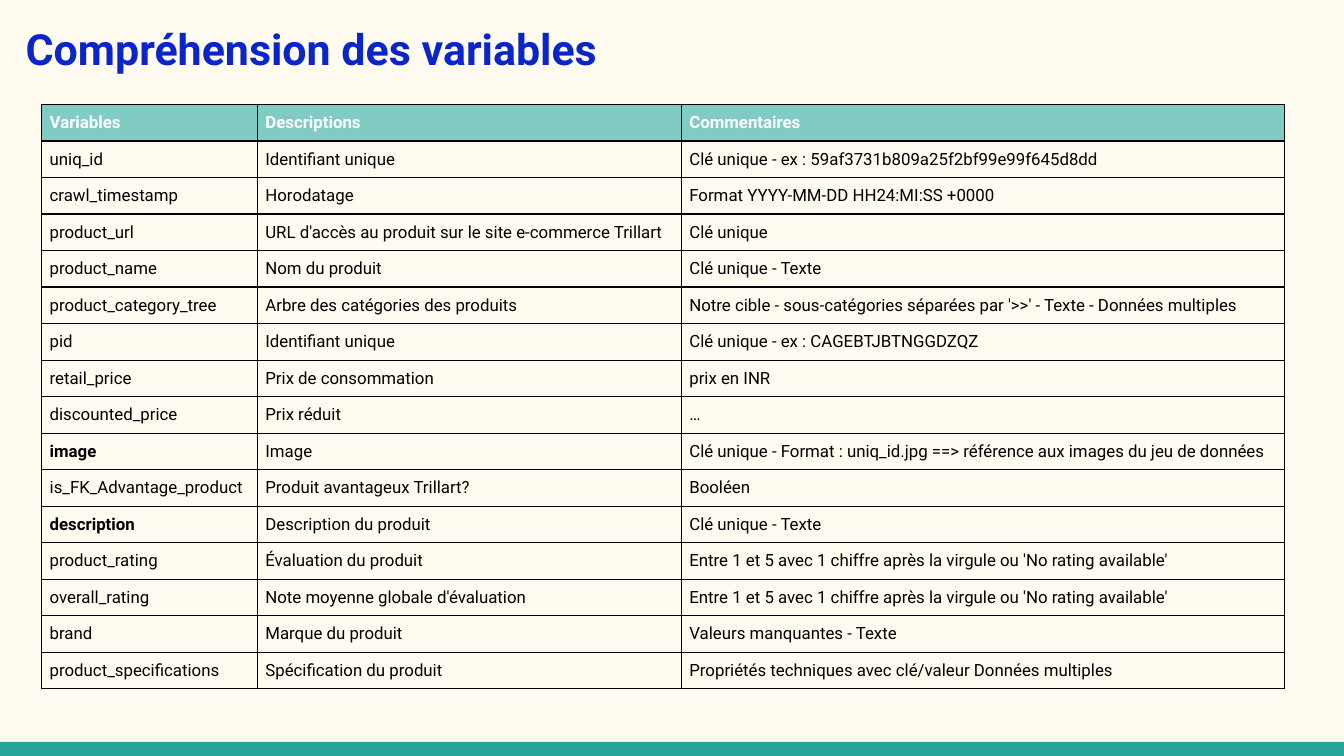
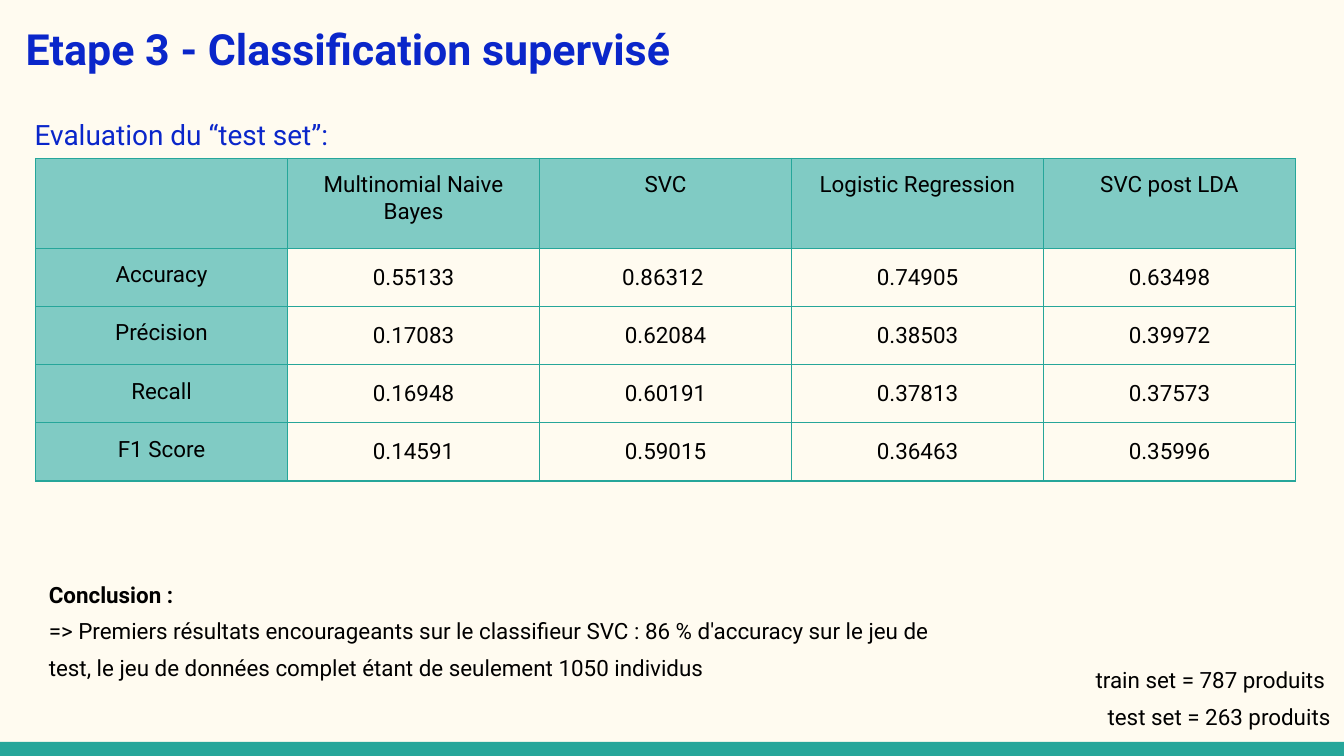
"""Build two slides on the variables and the classification results of a product data set."""
from lxml import etree
from pptx import Presentation
from pptx.dml.color import RGBColor
from pptx.enum.shapes import MSO_SHAPE
from pptx.enum.text import MSO_ANCHOR, MSO_AUTO_SIZE, PP_ALIGN
from pptx.oxml.ns import qn
from pptx.util import Emu, Pt

RECTANGLE = MSO_SHAPE.RECTANGLE
TOP, MIDDLE, BOTTOM = MSO_ANCHOR.TOP, MSO_ANCHOR.MIDDLE, MSO_ANCHOR.BOTTOM
LEFT, CENTER, RIGHT = PP_ALIGN.LEFT, PP_ALIGN.CENTER, PP_ALIGN.RIGHT
FIXED, GROW = MSO_AUTO_SIZE.NONE, MSO_AUTO_SIZE.SHAPE_TO_FIT_TEXT

SCALE = 4572
WIDTH, HEIGHT = 2000, 1125
BAND = 21
FONT = "Roboto"
CREAM, TEAL, PALE_TEAL = "FFFBF0", "26A69A", "80CBC4"
BLUE, BLACK, WHITE = "0A26CA", "000000", "FFFFFF"

VARIABLES = [
    ("Variables", "Descriptions", "Commentaires"),
    ("uniq_id", "Identifiant unique", "Clé unique - ex : 59af3731b809a25f2bf99e99f645d8dd"),
    ("crawl_timestamp", "Horodatage", "Format YYYY-MM-DD HH24:MI:SS +0000"),
    ("product_url", "URL d'accès au produit sur le site e-commerce Trillart", "Clé unique"),
    ("product_name", "Nom du produit", "Clé unique - Texte"),
    ("product_category_tree", "Arbre des catégories des produits",
     "Notre cible - sous-catégories séparées par '>>' - Texte - Données multiples"),
    ("pid", "Identifiant unique", "Clé unique - ex : CAGEBTJBTNGGDZQZ"),
    ("retail_price", "Prix de consommation", "prix en INR"),
    ("discounted_price", "Prix réduit", "…"),
    ("image", "Image",
     "Clé unique - Format : uniq_id.jpg ==> référence aux images du jeu de données"),
    ("is_FK_Advantage_product", "Produit avantageux Trillart?", "Booléen"),
    ("description", "Description du produit", "Clé unique - Texte"),
    ("product_rating", "Évaluation du produit",
     "Entre 1 et 5 avec 1 chiffre après la virgule ou 'No rating available'"),
    ("overall_rating", "Note moyenne globale d'évaluation",
     "Entre 1 et 5 avec 1 chiffre après la virgule ou 'No rating available'"),
    ("brand", "Marque du produit", "Valeurs manquantes - Texte"),
    ("product_specifications", "Spécification du produit",
     "Propriétés techniques avec clé/valeur Données multiples"),
]
KEY_VARIABLES = ("image", "description")

SCORES = [
    ("", "Multinomial Naive Bayes", "SVC", "Logistic Regression", "SVC post LDA"),
    ("Accuracy", "0.55133", "0.86312 ", "0.74905", "0.63498"),
    ("Précision", "0.17083", "0.62084", "0.38503", "0.39972"),
    ("Recall", "0.16948", "0.60191", "0.37813", "0.37573"),
    ("F1 Score", "0.14591", "0.59015", "0.36463", "0.35996"),
]


def px(length):
    """Turn px into EMU."""
    return Emu(round(length * SCALE))


def color(value):
    """Turn a hex string into a colour."""
    return RGBColor.from_string(value)


class Deck:
    """Hold the presentation, its style and the current slide."""

    def __init__(self):
        """Open a deck with the shared size and background."""
        self.deck = Presentation()
        self.deck.slide_width, self.deck.slide_height = px(WIDTH), px(HEIGHT)
        background = self.deck.slide_master.background.fill
        background.solid()
        background.fore_color.rgb = color(CREAM)
        self.page = None

    def add_page(self, title, width, height):
        """Start a slide with its title and bottom band."""
        self.page = self.deck.slides.add_slide(self.deck.slide_layouts[5])
        box = self.page.shapes.title
        box.left, box.top, box.width, box.height = map(px, (18, 14, width, height))
        self.fill_frame(box.text_frame, title, 23, BLUE, bold=True)
        band = self.page.shapes.add_shape(
            RECTANGLE, 0, px(HEIGHT - BAND), px(WIDTH), px(BAND))
        band.shadow.inherit = False
        band.fill.solid()
        band.fill.fore_color.rgb = color(TEAL)
        band.line.fill.background()

    def style(self, paragraph, size, ink, bold=False, align=LEFT, spacing=None):
        """Format a paragraph and its runs."""
        paragraph.alignment = align
        if spacing:
            paragraph.line_spacing = spacing
        for span in paragraph.runs:
            span.font.name, span.font.size, span.font.bold = FONT, Pt(size), bold
            span.font.color.rgb = color(ink)

    def fill_frame(self, frame, text, size, ink, bold=False, align=LEFT,
                   spacing=None, anchor=TOP, fit=FIXED):
        """Write text into a frame with even margins."""
        frame.text = text
        frame.word_wrap, frame.auto_size, frame.vertical_anchor = True, fit, anchor
        frame.margin_left = frame.margin_right = px(20)
        frame.margin_top = frame.margin_bottom = px(20)
        for paragraph in frame.paragraphs:
            self.style(paragraph, size, ink, bold, align, spacing)

    def add_text(self, left, top, width, height, text, size, ink, **options):
        """Add a text box and return its frame."""
        box = self.page.shapes.add_textbox(*map(px, (left, top, width, height)))
        self.fill_frame(box.text_frame, text, size, ink, **options)
        return box.text_frame

    def add_table(self, left, top, widths, header, height, rows):
        """Add a plain table with a header row and equal body rows."""
        frame = self.page.shapes.add_table(
            len(rows), len(widths), px(left), px(top), px(sum(widths)), px(height))
        table = frame.table
        table.first_row = table.horz_banding = False
        for column, width in zip(table.columns, widths):
            column.width = px(width)
        for index, row in enumerate(table.rows):
            row.height = px((height - header) / (len(rows) - 1) if index else header)
        return table

    def fill_cell(self, cell, text, size, ink, border, inset, bold=False,
                  align=LEFT, anchor=MIDDLE, fill=None):
        """Write and format one table cell."""
        cell.text = text
        cell.vertical_anchor = anchor
        cell.margin_left = cell.margin_right = px(inset)
        cell.margin_top = cell.margin_bottom = px(inset)
        self.style(cell.text_frame.paragraphs[0], size, ink, bold, align)
        properties = cell._tc.get_or_add_tcPr()
        for side in ("a:lnL", "a:lnR", "a:lnT", "a:lnB"):
            line = etree.SubElement(properties, qn(side), w=str(Pt(0.75)))
            solid = etree.SubElement(line, qn("a:solidFill"))
            etree.SubElement(solid, qn("a:srgbClr"), val=border)
        if fill:
            cell.fill.solid()
            cell.fill.fore_color.rgb = color(fill)
        else:
            cell.fill.background()


def add_variables(deck):
    """Add the slide that lists the variables."""
    deck.add_page("Compréhension des variables", 1644, 126)
    table = deck.add_table(62, 156, (321, 631, 898), 54, 869, VARIABLES)
    for r, row in enumerate(VARIABLES):
        for c, text in enumerate(row):
            header = r == 0
            deck.fill_cell(table.cell(r, c), text, 9, WHITE if header else BLACK, BLACK, 12,
                           bold=header or text in KEY_VARIABLES,
                           fill=PALE_TEAL if header else None)


def add_scores(deck):
    """Add the slide that compares the classifiers."""
    deck.add_page("Etape 3 - Classification supervisé", 1294, 184)
    table = deck.add_table(53, 236, [375] * 5, 134, 480, SCORES)
    for r, row in enumerate(SCORES):
        for c, text in enumerate(row):
            label = r == 0 or c == 0
            deck.fill_cell(table.cell(r, c), text, 12, BLACK, TEAL, 20, align=CENTER,
                           anchor=TOP if label else MIDDLE,
                           fill=PALE_TEAL if label else None)
    conclusion = deck.add_text(
        53, 830, 1420, 190,
        "Conclusion :\n=> Premiers résultats encourageants sur le classifieur SVC : "
        "86 % d'accuracy sur le jeu de test, le jeu de données complet étant de "
        "seulement 1050 individus", 12, BLACK, spacing=1.36, fit=GROW)
    conclusion.paragraphs[0].runs[0].font.bold = True
    deck.add_text(32, 148, 1020, 90, "Evaluation du “test set”:", 15, BLUE,
                  spacing=1.15, fit=GROW)
    deck.add_text(1610, 946, 390, 160, "train set = 787 produits \ntest set = 263 produits",
                  12, BLACK, align=RIGHT, spacing=1.36, anchor=BOTTOM)


def main():
    """Build and save the deck."""
    deck = Deck()
    add_variables(deck)
    add_scores(deck)
    deck.deck.save("out.pptx")


if __name__ == "__main__":
    main()
